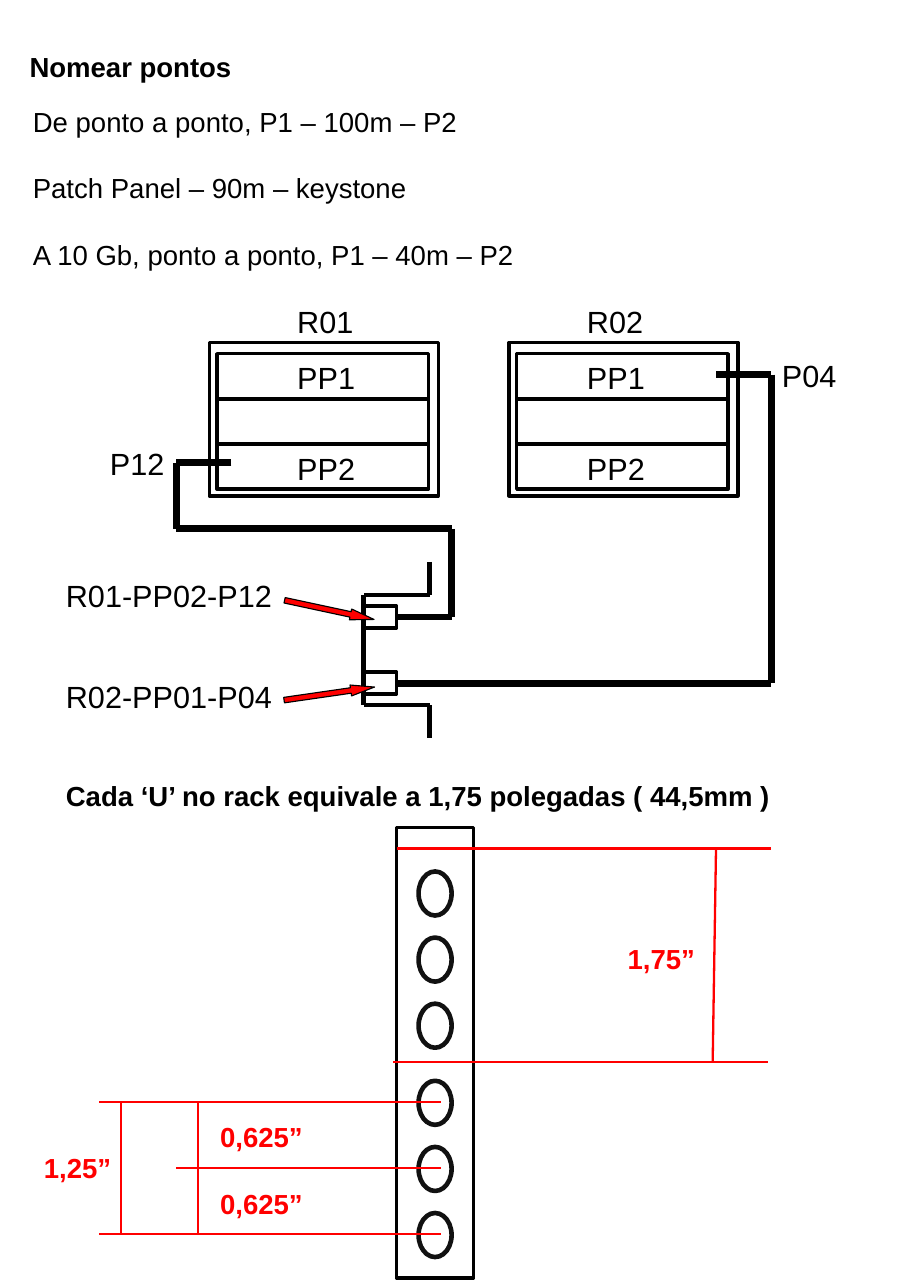
from lxml import etree
from pptx import Presentation
from pptx.dml.color import RGBColor
from pptx.enum.shapes import MSO_CONNECTOR, MSO_SHAPE
from pptx.enum.text import MSO_ANCHOR, PP_ALIGN
from pptx.oxml.ns import qn
from pptx.util import Inches, Pt

RECTANGLE = MSO_SHAPE.RECTANGLE
OVAL = MSO_SHAPE.OVAL
DOWN_ARROW = MSO_SHAPE.DOWN_ARROW
STRAIGHT = MSO_CONNECTOR.STRAIGHT
TOP = MSO_ANCHOR.TOP
LEFT = PP_ALIGN.LEFT
RIGHT_SIDE = 3

BLACK, HOLE_BLACK, RED = "000000", "111111", "FF0000"
BOX_LINE, PLATE_LINE, CABLE_LINE, DIMENSION_LINE = 2.3, 3, 4.5, 1.5
LABEL_HEIGHT = 0.41


def color(hex_string):
    return RGBColor.from_string(hex_string)


def add_text(slide, text, left, top, width, height=LABEL_HEIGHT, size=20,
             bold=False, ink=BLACK, space_before=0):
    box = slide.shapes.add_textbox(Inches(left), Inches(top), Inches(width), Inches(height))
    frame = box.text_frame
    frame.word_wrap = True
    frame.vertical_anchor = TOP
    for index, line in enumerate(text.split("\n")):
        paragraph = frame.add_paragraph() if index else frame.paragraphs[0]
        paragraph.alignment = LEFT
        if index:
            paragraph.space_before = Pt(space_before)
        run = paragraph.add_run()
        run.text = line
        run.font.name = "Arial"
        run.font.size = Pt(size)
        run.font.bold = bold
        run.font.color.rgb = color(ink)


def add_outline(slide, kind, left, top, width, height, ink=BLACK, weight=BOX_LINE, fill=None):
    shape = slide.shapes.add_shape(kind, Inches(left), Inches(top), Inches(width), Inches(height))
    shape.shadow.inherit = False
    if fill:
        shape.fill.solid()
        shape.fill.fore_color.rgb = color(fill)
    else:
        shape.fill.background()
    shape.line.color.rgb = color(ink)
    shape.line.width = Pt(weight)
    return shape


def add_line(slide, start, end, ink=BLACK, weight=PLATE_LINE):
    line = slide.shapes.add_connector(STRAIGHT, *(Inches(value) for value in (*start, *end)))
    line.line.color.rgb = color(ink)
    line.line.width = Pt(weight)
    etree.SubElement(line._element.spPr, qn("a:effectLst"))
    return line


def add_notes(slide, left, top):
    add_text(slide, "Nomear pontos", left, top, 4.13, 0.38, size=18, bold=True)
    lines = ("De ponto a ponto, P1 – 100m – P2\n"
             "Patch Panel – 90m – keystone\n"
             "A 10 Gb, ponto a ponto, P1 – 40m – P2")
    add_text(slide, lines, left + 0.03, top + 0.5, 5.6, 1.5, size=18, space_before=22)


def add_rack(slide, name, left, top, label_offset):
    add_outline(slide, RECTANGLE, left, top, 2.08, 1.39)
    add_text(slide, name, left + label_offset, top - LABEL_HEIGHT, 0.9)
    for row, panel in enumerate(("PP1", "", "PP2")):
        row_top = top + 0.1 + row * LABEL_HEIGHT
        add_outline(slide, RECTANGLE, left + 0.07, row_top, 1.92, LABEL_HEIGHT)
        if panel:
            add_text(slide, panel, left + label_offset, row_top, 1.29)


def add_outlet(slide, left, top):
    """Draw the wall plate and return its two jacks."""
    right, plate_top, plate_bottom = left + 0.6, top + 0.3, top + 1.3
    corners = [(right, top), (right, plate_top), (left, plate_top),
               (left, plate_bottom), (right, plate_bottom), (right, top + 1.6)]
    for start, end in zip(corners, corners[1:]):
        add_line(slide, start, end)
    return [add_outline(slide, RECTANGLE, left, top + offset, 0.3, 0.2) for offset in (0.4, 1)]


def add_cable(slide, points, jack):
    for start, end in zip(points, points[1:]):
        segment = add_line(slide, start, end, weight=CABLE_LINE)
    segment.end_connect(jack, RIGHT_SIDE)


def add_pointer(slide, text, left, top, arrow_top, rotation):
    add_text(slide, text, left, top, 2.1)
    arrow = add_outline(slide, DOWN_ARROW, left + 2.44, arrow_top, 0.1, 0.83, weight=0, fill=RED)
    arrow.rotation = rotation
    arrow.adjustments[0] = 0.5
    arrow.adjustments[1] = 2.175


def add_wiring(slide):
    add_rack(slide, "R01", 1.9, 3.11, 0.7)
    add_rack(slide, "R02", 4.62, 3.11, 0.61)
    upper_jack, lower_jack = add_outlet(slide, 3.3, 5.1)
    add_cable(slide, [(2.1, 4.2), (1.6, 4.2), (1.6, 4.8), (4.1, 4.8), (4.1, 5.6), (3.6, 5.6)],
              upper_jack)
    add_cable(slide, [(6.5, 3.4), (7, 3.4), (7, 6.2), (3.6, 6.2)], lower_jack)
    add_text(slide, "P12", 0.9, 3.99, 0.7)
    add_text(slide, "P04", 7, 3.19, 0.7)
    add_pointer(slide, "R01-PP02-P12", 0.5, 5.19, 5.12, 282.1)
    add_pointer(slide, "R02-PP01-P04", 0.5, 6.1, 5.88, 261.8)


def add_rail(slide, left, top):
    add_text(slide, "Cada ‘U’ no rack equivale a 1,75 polegadas ( 44,5mm )",
             0.5, top - 0.49, 6.7, 0.38, size=18, bold=True)
    add_outline(slide, RECTANGLE, left, top, 0.7, 4.09)
    for unit_top in (top + 0.4, top + 2.3):
        for hole in range(3):
            add_outline(slide, OVAL, left + 0.2, unit_top + hole * 0.6, 0.3, 0.4,
                        ink=HOLE_BLACK, weight=PLATE_LINE)

    # Dimension lines: one full unit on the right, hole spacing on the left
    first, second, third = (top + 2.49 + step * 0.6 for step in range(3))
    unit_start, unit_end = top + 0.19, top + 2.13
    dimensions = [
        ((left, unit_start), (left + 3.4, unit_start)),
        ((left - 0.03, unit_end), (left + 3.37, unit_end)),
        ((left + 2.9, unit_start), (left + 2.87, unit_end)),
        ((left - 2.7, first), (left + 0.4, first)),
        ((left - 2, second), (left + 0.4, second)),
        ((left - 2.7, third), (left + 0.4, third)),
        ((left - 2.5, first), (left - 2.5, third)),
        ((left - 1.8, first), (left - 1.8, third)),
    ]
    for start, end in dimensions:
        add_line(slide, start, end, ink=RED, weight=DIMENSION_LINE)

    measures = [("1,75”", 2, 0.99, 0.9), ("1,25”", -3.3, 2.89, 0.9),
                ("0,625”", -1.7, 2.61, 1), ("0,625”", -1.7, 3.21, 1)]
    for text, across, down, width in measures:
        add_text(slide, text, left + across, top + down, width, 0.38,
                 size=18, bold=True, ink=RED)


def main():
    presentation = Presentation()
    presentation.slide_width = Inches(8.27)
    presentation.slide_height = Inches(11.69)
    slide = presentation.slides.add_slide(presentation.slide_layouts[6])
    add_notes(slide, 0.17, 0.4)
    add_wiring(slide)
    add_rail(slide, 3.6, 7.51)
    presentation.save("out.pptx")


if __name__ == "__main__":
    main()
